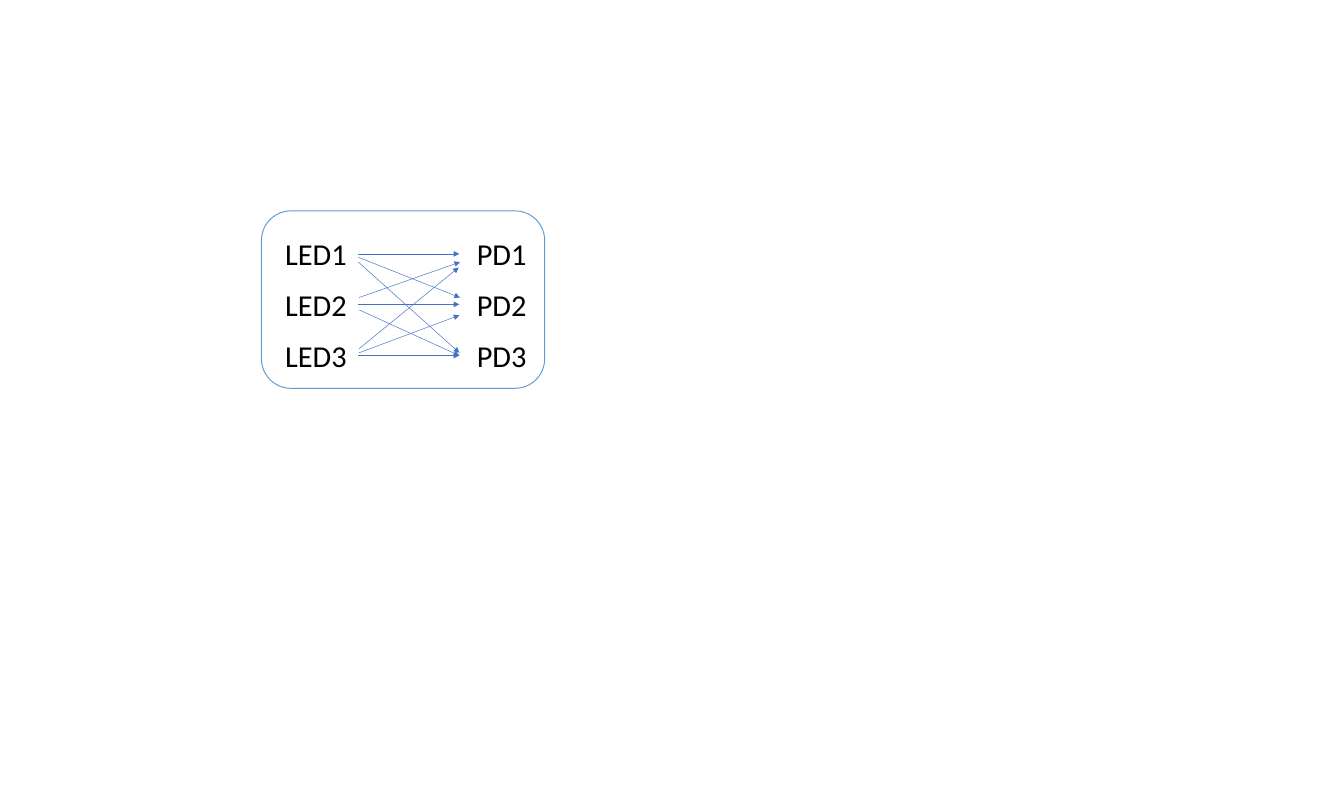
from lxml.etree import SubElement
from pptx import Presentation
from pptx.dml.color import RGBColor
from pptx.enum.shapes import MSO_CONNECTOR, MSO_SHAPE
from pptx.enum.text import MSO_AUTO_SIZE, PP_ALIGN
from pptx.oxml.ns import qn
from pptx.util import Inches, Pt

ROW_TOPS = [3.4, 4.14, 4.89]
LED_LEFT, PD_LEFT = 4.01, 6.73

# Light paths between different rows: x1, y1, x2, y2
CROSS_PATHS = [
    (5.25, 3.77, 6.74, 4.36),  # LED1 to PD2
    (5.25, 3.84, 6.73, 5.17),  # LED1 to PD3
    (5.26, 4.36, 6.74, 3.84),  # LED2 to PD1
    (5.26, 4.54, 6.73, 5.21),  # LED2 to PD3
    (5.26, 5.17, 6.73, 4.62),  # LED3 to PD2
    (5.26, 5.11, 6.72, 3.92),  # LED3 to PD1
]


def rgb(color):
    return RGBColor.from_string(color)


def set_attrs(obj, values):
    for name, value in values.items():
        setattr(obj, name, value)


def add_panel(s, x, y, w, h):
    sp = s.shapes.add_shape(MSO_SHAPE.ROUNDED_RECTANGLE,
                            Inches(x), Inches(y), Inches(w), Inches(h))
    sp.shadow.inherit = False
    sp.fill.solid()
    sp.fill.fore_color.rgb = rgb("FFFFFF")
    sp.line.color.rgb = rgb("5B9BD5")
    sp.line.width = Pt(1)


def add_label(s, text, x, y):
    sp = s.shapes.add_textbox(Inches(x), Inches(y), Inches(1.24), Inches(0.64))
    tf = sp.text_frame
    set_attrs(tf, {"word_wrap": True,
                   "auto_size": MSO_AUTO_SIZE.SHAPE_TO_FIT_TEXT})
    p = tf.paragraphs[0]
    p.alignment = PP_ALIGN.CENTER
    r = p.add_run()
    r.text = text
    set_attrs(r.font, {"name": "Calibri", "size": Pt(32)})
    r.font.color.rgb = rgb("000000")
    return sp


def add_arrow(s, x1, y1, x2, y2):
    line = s.shapes.add_connector(MSO_CONNECTOR.STRAIGHT, Inches(x1),
                                  Inches(y1), Inches(x2), Inches(y2))
    line.line.color.rgb = rgb("4472C4")
    line.line.width = Pt(0.5)
    SubElement(line.line._get_or_add_ln(), qn("a:tailEnd"), type="triangle")
    SubElement(line._element.spPr, qn("a:effectLst"))
    return line


def main():
    prs = Presentation()
    set_attrs(prs, {"slide_width": Inches(19.69),
                    "slide_height": Inches(11.81)})
    s = prs.slides.add_slide(prs.slide_layouts[6])

    # Sensor outline
    add_panel(s, 3.83, 3.09, 4.15, 2.6)

    # Emitters, detectors and the direct paths between them
    for number, top in enumerate(ROW_TOPS, start=1):
        led = add_label(s, f"LED{number}", LED_LEFT, top)
        pd = add_label(s, f"PD{number}", PD_LEFT, top)
        arrow = add_arrow(s, 5.25, top + 0.32, PD_LEFT, top + 0.32)
        arrow.begin_connect(led, 3)
        arrow.end_connect(pd, 1)

    # Crossing paths
    for path_ends in CROSS_PATHS:
        add_arrow(s, *path_ends)

    prs.save("out.pptx")


if __name__ == "__main__":
    main()
